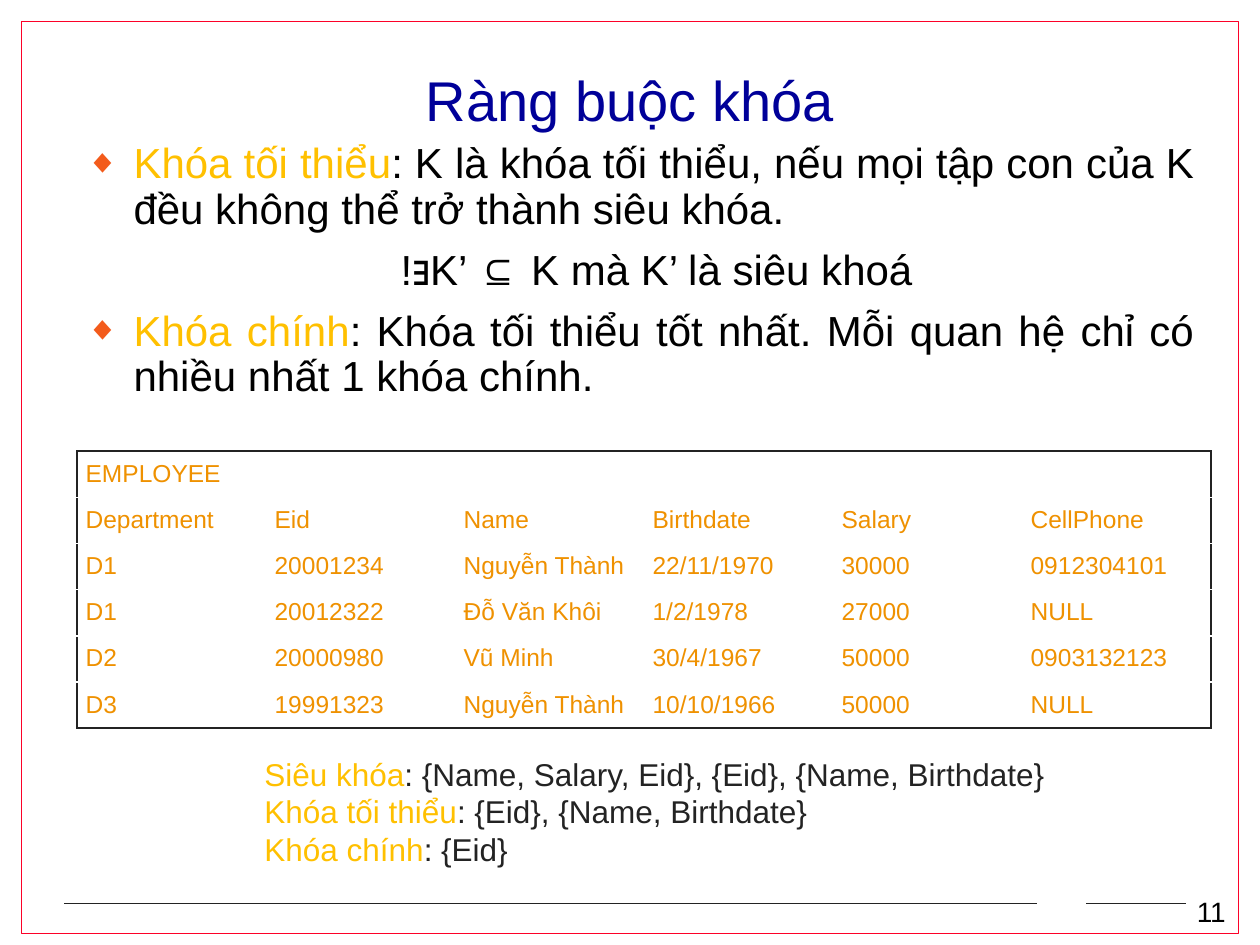
from lxml.etree import SubElement
from pptx import Presentation
from pptx.dml.color import RGBColor
from pptx.enum.shapes import MSO_CONNECTOR, MSO_SHAPE
from pptx.enum.text import MSO_ANCHOR, MSO_AUTO_SIZE, PP_ALIGN
from pptx.oxml import parse_xml
from pptx.oxml.ns import nsdecls, qn
from pptx.util import Inches, Pt

DARK, GOLD, BLACK, WHITE, ORANGE = "232323", "FFC000", "000000", "FFFFFF", "EF9100"

TITLE = [[("Ràng buộc khóa", "000099")]]
DEFINITIONS = [
    [("Khóa tối thiểu", GOLD),
     (": K là khóa tối thiểu, nếu mọi tập con của K đều không thể trở thành siêu khóa.", BLACK)],
    [("!∃K’ ⊆ K mà K’ là siêu khoá", BLACK)],
    [("Khóa chính", GOLD),
     (": Khóa tối thiểu tốt nhất. Mỗi quan hệ chỉ có nhiều nhất 1 khóa chính.", BLACK)],
]
FORMULA = 1
EMPLOYEES = [
    ["EMPLOYEE", "", "", "", "", ""],
    ["Department", "Eid", "Name", "Birthdate", "Salary", "CellPhone"],
    ["D1", "20001234", "Nguyễn Thành", "22/11/1970", "30000", "0912304101"],
    ["D1", "20012322", "Đỗ Văn Khôi", "1/2/1978", "27000", "NULL"],
    ["D2", "20000980", "Vũ Minh", "30/4/1967", "50000", "0903132123"],
    ["D3", "19991323", "Nguyễn Thành", "10/10/1966", "50000", "NULL"],
]
KEYS = [
    [("Siêu khóa", GOLD), (": {Name, Salary, Eid}, {Eid}, {Name, Birthdate}", DARK)],
    [("Khóa tối thiểu", GOLD), (": {Eid}, {Name, Birthdate}", DARK)],
    [("Khóa chính", GOLD), (": {Eid}", DARK)],
]
PAGE_NUMBER = [[("11", BLACK)]]
FOOTER_RULES = [(5.1, 19.2), (18.5, 82.3), (86.2, 94.1)]
FOOTER_LEVEL = 95.6

deck = Presentation()
deck.slide_width, deck.slide_height = Inches(10), Inches(7.5)
page = deck.slides.add_slide(deck.slide_layouts[1])


def across(percent):
    return round(deck.slide_width * percent / 100)


def down(percent):
    return round(deck.slide_height * percent / 100)


def area(left, top, width, height):
    return across(left), down(top), across(width), down(height)


def color(value):
    return RGBColor.from_string(value)


def write(frame, paragraphs, size):
    for index, spans in enumerate(paragraphs):
        para = frame.paragraphs[0] if index == 0 else frame.add_paragraph()
        for text, shade in spans:
            span = para.add_run()
            span.text = text
            span.font.name = "Arial"
            span.font.size = Pt(size)
            span.font.color.rgb = color(shade)


def fill_placeholder(holder, place, paragraphs, size, anchor):
    holder.left, holder.top, holder.width, holder.height = place
    frame = holder.text_frame
    frame.auto_size = MSO_AUTO_SIZE.NONE
    frame.vertical_anchor = anchor
    write(frame, paragraphs, size)
    return frame.paragraphs


def add_text(place, paragraphs, size, wrap=True):
    frame = page.shapes.add_textbox(*place).text_frame
    frame.word_wrap = wrap
    write(frame, paragraphs, size)


def set_bullet(para, indent, hanging, bulleted):
    props = para._p.get_or_add_pPr()
    props.set("marL", str(Inches(indent)))
    props.set("indent", str(-Inches(hanging)))
    if bulleted:
        SubElement(SubElement(props, qn("a:buClr")), qn("a:srgbClr"), val="F35B1B")
        SubElement(props, qn("a:buSzPct"), val="80000")
        SubElement(props, qn("a:buChar"), char="◆")
    else:
        SubElement(props, qn("a:buNone"))


def set_borders(cell, shades):
    props = cell._tc.get_or_add_tcPr()
    for index, (side, shade) in enumerate(shades):
        props.insert(index, parse_xml(
            f'<a:ln{side} {nsdecls("a")} w="{Pt(1)}"><a:solidFill>'
            f'<a:srgbClr val="{shade}"/></a:solidFill></a:ln{side}>'))


frame_box = page.shapes.add_shape(MSO_SHAPE.RECTANGLE, *area(1.7, 2.27, 96.6, 96.53))
frame_box.shadow.inherit = False
frame_box.fill.background()
frame_box.line.color.rgb = color("FC0128")
frame_box.line.width = Pt(1)

for start, end in FOOTER_RULES:
    rule = page.shapes.add_connector(MSO_CONNECTOR.STRAIGHT, across(start), down(FOOTER_LEVEL),
                                     across(end), down(FOOTER_LEVEL))
    rule.line.color.rgb = color(DARK)
    rule.line.width = Pt(1)
    SubElement(rule._element.spPr, qn("a:effectLst"))

heading, = fill_placeholder(page.shapes.title, area(7.5, 6.67, 85, 7.73), TITLE, 32,
                            MSO_ANCHOR.MIDDLE)
heading.alignment = PP_ALIGN.CENTER

definitions = fill_placeholder(page.placeholders[1], area(5.8, 14.4, 90, 74.4), DEFINITIONS, 24,
                               MSO_ANCHOR.TOP)
for index, para in enumerate(definitions):
    para.alignment = PP_ALIGN.JUSTIFY
    para.line_spacing = 0.9
    para.space_before = Pt(9)
    if index == FORMULA:
        para.level = 1
        set_bullet(para, 2.5, 0, False)
    else:
        set_bullet(para, 0.38, 0.38, True)

row_count, column_count = len(EMPLOYEES), len(EMPLOYEES[0])
table = page.shapes.add_table(row_count, column_count, *area(6.1, 47.73, 90, 29.33)).table
table.first_row = table.horz_banding = False
table.cell(0, 0).merge(table.cell(0, column_count - 1))
for r, values in enumerate(EMPLOYEES):
    for c, value in enumerate(values):
        cell = table.cell(r, c)
        cell.margin_left = cell.margin_right = Inches(0.07)
        cell.margin_top = cell.margin_bottom = Inches(0.07)
        cell.fill.solid()
        cell.fill.fore_color.rgb = color(WHITE)
        if value:
            write(cell.text_frame, [[(value, ORANGE)]], 14)
        outer = {"L": c == 0, "R": c == column_count - 1 or r == 0,
                 "T": r == 0, "B": r == row_count - 1}
        set_borders(cell, [(side, DARK if edge else WHITE) for side, edge in outer.items()])

add_text(area(20, 79.2, 74.2, 13.47), KEYS, 18)
add_text(area(94, 94, 4.6, 4.8), PAGE_NUMBER, 16, wrap=False)

deck.save("out.pptx")
